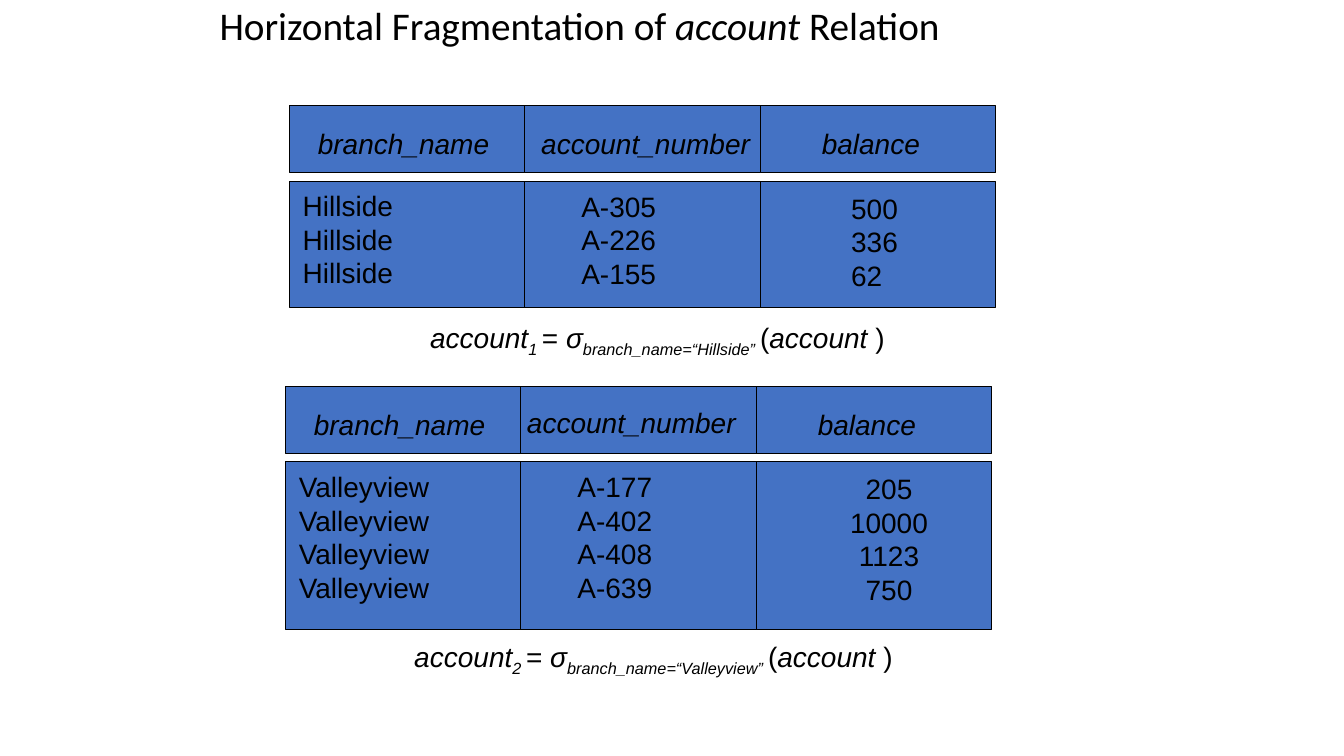
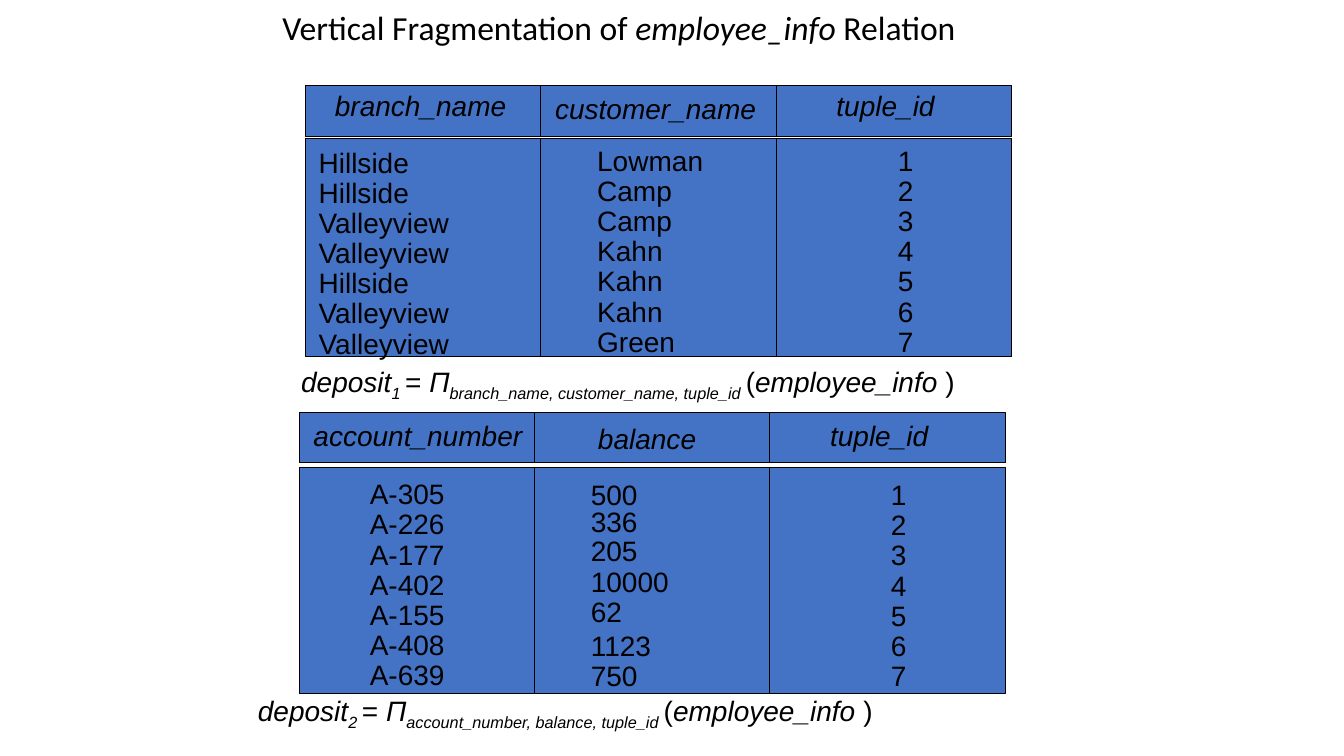
import pptx
import pptx.dml.color
import pptx.enum.shapes
import pptx.enum.text
import pptx.util
from dataclasses import dataclass

Cm = pptx.util.Cm
Pt = pptx.util.Pt
RGBColor = pptx.dml.color.RGBColor
Align = pptx.enum.text.PP_ALIGN

BLUE = RGBColor(0x44, 0x72, 0xC4)
BLACK = RGBColor(0, 0, 0)
COLUMN_WIDTH = 5.93


@dataclass
class Column:
    header: str
    values: list
    header_inset: tuple
    body_inset: tuple
    alignment: object = Align.LEFT
    spacings: tuple = None


class Deck:
    title_font = "Calibri"
    body_font = "Arial"
    body_size = 20

    def __init__(self):
        self.presentation = pptx.Presentation()
        self.presentation.slide_width = Cm(33.87)
        self.presentation.slide_height = Cm(19.05)
        self.slide = None

    def style(self, paragraph, size=body_size, name=body_font, italic=None):
        paragraph.font.size = Pt(size)
        paragraph.font.name = name
        paragraph.font.italic = italic
        paragraph.font.color.rgb = BLACK

    def add_runs(self, paragraph, parts):
        for text, italic, subscript in parts:
            run = paragraph.add_run()
            run.text = text
            run.font.italic = italic
            if subscript:
                run._r.get_or_add_rPr().set("baseline", "-25000")

    def add_slide(self, before, relation, left, width, size, spacing):
        layout = self.presentation.slide_layouts[5]
        self.slide = self.presentation.slides.add_slide(layout)
        title = self.slide.shapes.title
        title.left, title.top = Cm(left), Cm(0)
        title.width, title.height = Cm(width), Cm(1.48)
        frame = title.text_frame
        frame.auto_size = pptx.enum.text.MSO_AUTO_SIZE.NONE
        frame.vertical_anchor = pptx.enum.text.MSO_ANCHOR.MIDDLE
        paragraph = frame.paragraphs[0]
        paragraph.alignment = Align.LEFT
        paragraph.line_spacing = spacing
        self.style(paragraph, size, self.title_font)
        self.add_runs(paragraph, [(before, False, False), (relation, True, False),
                                  (" Relation", False, False)])

    def add_cell(self, left, top, height, lines, inset, spacings,
                 italic=False, alignment=Align.LEFT):
        shape = self.slide.shapes.add_shape(
            pptx.enum.shapes.MSO_SHAPE.RECTANGLE,
            Cm(left), Cm(top), Cm(COLUMN_WIDTH), Cm(height))
        shape.shadow.inherit = False
        shape.fill.solid()
        shape.fill.fore_color.rgb = BLUE
        shape.line.color.rgb = BLACK
        shape.line.width = Pt(0.75)
        frame = shape.text_frame
        frame.word_wrap = True
        frame.vertical_anchor = pptx.enum.text.MSO_ANCHOR.TOP
        frame.margin_left, frame.margin_top = Cm(inset[0]), Cm(inset[1])
        frame.margin_right = frame.margin_bottom = Cm(0)
        for index, (line, spacing) in enumerate(zip(lines, spacings)):
            paragraph = frame.add_paragraph() if index else frame.paragraphs[0]
            paragraph.text = line
            paragraph.alignment = alignment
            paragraph.line_spacing = spacing
            self.style(paragraph, italic=italic)

    def add_relation(self, left, top, header_height, body_top, body_height,
                     columns, spacing=1.0):
        for index, column in enumerate(columns):
            column_left = left + index * COLUMN_WIDTH
            self.add_cell(column_left, top, header_height, [column.header],
                          column.header_inset, [1.0], italic=True)
            spacings = column.spacings or [1.0] + [spacing] * (len(column.values) - 1)
            self.add_cell(column_left, body_top, body_height, column.values,
                          column.body_inset, spacings, alignment=column.alignment)

    def add_formula(self, left, top, width, name, number, operator, condition, relation):
        box = self.slide.shapes.add_textbox(Cm(left), Cm(top), Cm(width), Cm(1.09))
        box.text_frame.word_wrap = True
        paragraph = box.text_frame.paragraphs[0]
        self.style(paragraph)
        self.add_runs(paragraph, [
            (name, True, False), (f"{number} ", True, True), ("= ", False, False),
            (operator, True, False), (f"{condition} ", True, True),
            ("(", False, False), (f"{relation} ", True, False), (")", False, False)])


def add_horizontal(deck):
    deck.add_slide("Horizontal Fragmentation of ", "account", 5.28, 24.77, 28, 0.8)
    deck.add_relation(7.3, 2.67, 1.69, 4.57, 3.18, [
        Column("branch_name", ["Hillside"] * 3, (0.71, 0.53), (0.33, 0.18)),
        Column("account_number", ["A-305", "A-226", "A-155"], (0.41, 0.51), (1.42, 0.2)),
        Column("balance", ["500", "336", "62"], (1.55, 0.53), (2.29, 0.25)),
    ])
    deck.add_formula(10.59, 7.95, 12.98, "account", 1, "σ",
                     "branch_name=“Hillside”", "account")
    deck.add_relation(7.2, 9.73, 1.69, 11.63, 4.24, [
        Column("branch_name", ["Valleyview"] * 4, (0.71, 0.53), (0.33, 0.2)),
        Column("account_number", ["A-177", "A-402", "A-408", "A-639"],
               (0.15, 0.48), (1.42, 0.2)),
        Column("balance", ["205", "10000", "1123", "750"], (1.55, 0.53), (0.76, 0.25),
               Align.CENTER),
    ])
    deck.add_formula(10.19, 16, 13.56, "account", 2, "σ",
                     "branch_name=“Valleyview”", "account")


def add_vertical(deck):
    tuple_ids = [str(number) for number in range(1, 8)]
    deck.add_slide("Vertical Fragmentation of ", "employee_info", 6.86, 22.78, 24, 0.9)
    deck.add_relation(7.7, 2.16, 1.27, 3.48, 5.51, [
        Column("branch_name",
               ["Hillside", "Hillside", "Valleyview", "Valleyview",
                "Hillside", "Valleyview", "Valleyview"],
               (0.74, 0.08), (0.33, 0.18)),
        Column("customer_name",
               ["Lowman", "Camp", "Camp", "Kahn", "Kahn", "Kahn", "Green"],
               (0.36, 0.15), (1.42, 0.13)),
        Column("tuple_id", tuple_ids, (1.52, 0.08), (3.07, 0.13)),
    ], spacing=0.9)
    deck.add_formula(7.34, 9.07, 20.22, "deposit", 1, "Π",
                     "branch_name, customer_name, tuple_id", "employee_info")
    deck.add_relation(7.54, 10.39, 1.27, 11.79, 5.69, [
        Column("account_number",
               ["A-305", "A-226", "A-177", "A-402", "A-155", "A-408", "A-639"],
               (0.36, 0.15), (1.78, 0.23)),
        Column("balance", ["500", "336", "205", "10000", "62", "1123", "750"],
               (1.6, 0.23), (1.42, 0.15),
               spacings=(1.1, 0.8, 0.9, 0.9, 0.9, 1.0, 0.9)),
        Column("tuple_id", tuple_ids, (1.52, 0.15), (3.05, 0.25)),
    ], spacing=0.9)
    deck.add_formula(6.25, 17.35, 18.67, "deposit", 2, "Π",
                     "account_number, balance, tuple_id", "employee_info")


def main():
    deck = Deck()
    add_horizontal(deck)
    add_vertical(deck)
    deck.presentation.save("out.pptx")


if __name__ == "__main__":
    main()
